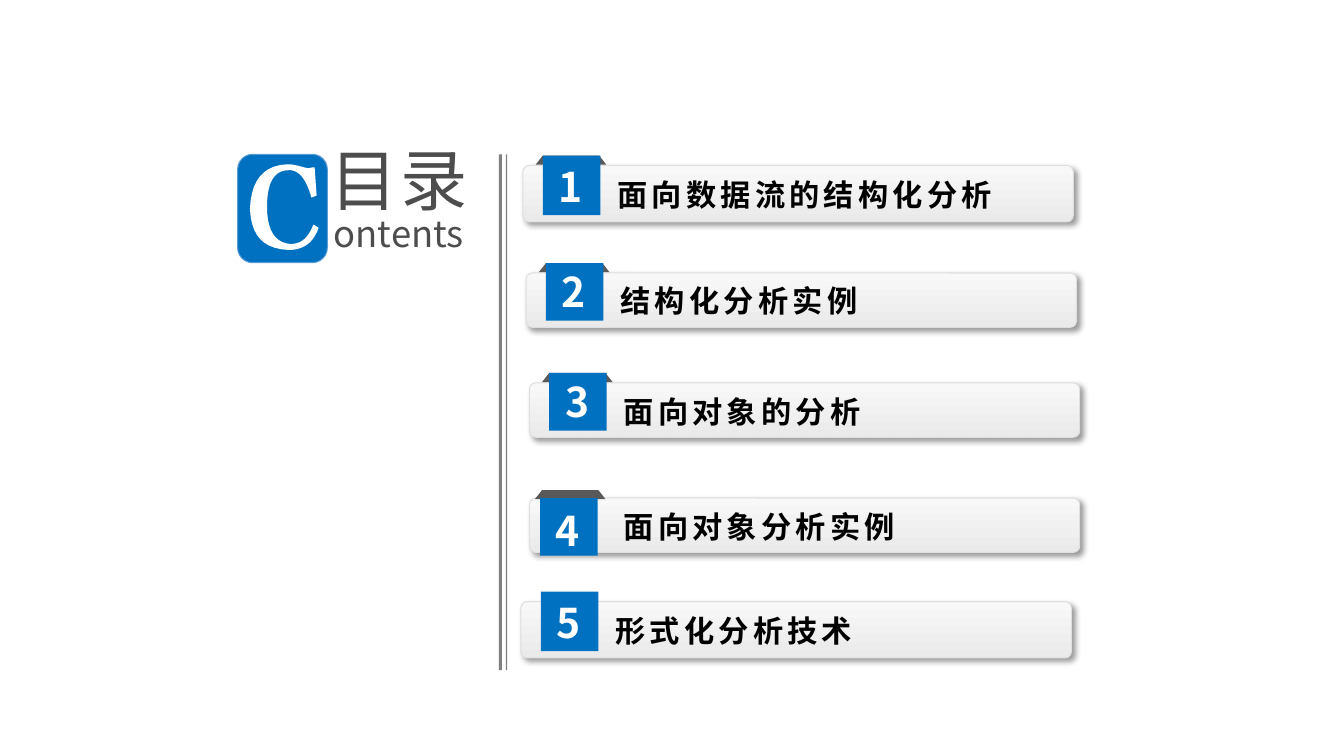
from lxml.etree import SubElement
from pptx import Presentation
from pptx.dml.color import RGBColor
from pptx.enum.shapes import MSO_SHAPE
from pptx.enum.text import MSO_AUTO_SIZE
from pptx.oxml import parse_xml
from pptx.oxml.ns import nsdecls, qn
from pptx.util import Cm, Pt

FONT = "Noto Sans CJK SC"
BLUE, GREY, DARK = "0070C0", "595959", "4D4D4D"

ROWS = [
    ("面向数据流的结构化分析", 13.18, 4.17, 1.42, 10.97),
    ("结构化分析实例", 13.26, 6.88, 1.37, 11.3),
    ("面向对象的分析", 13.34, 9.65, 1.37, 6.58),
    ("面向对象分析实例", 13.34, 12.55, 1.37, 9.37),
    ("形式化分析技术", 13.13, 15.16, 1.42, 10.97),
]
TAB_OFFSETS = [(0.5, -0.25), (0.5, -0.25), (0.5, -0.25), (0.27, 0), (0.5, -0.25)]
FOLD_OFFSETS = [(-0.18, 0), (-0.18, 0), (-0.18, 0), (-0.13, -0.2), None]
NUMBER_DROPS = [0.05, 0, 0, 0.08, 0.05]
TITLE_DROPS = [0.17, 0.13, 0.15, 0.17, 0.17]

INITIAL_C = [
    [(1.68, 0.79)], [(1.63, 0.08)], [(1.57, 0.08)], [(1.47, 0.1)], [(1.37, 0.08)],
    [(1.19, 0.03), (1.07, 0), (0.94, 0)],
    [(0.33, 0.03), (0.03, 0.41), (0, 1.12)],
    [(0.03, 1.8), (0.33, 2.13), (0.97, 2.16)],
    [(1.35, 2.16), (1.6, 1.98), (1.73, 1.6)],
    [(1.6, 1.52)],
    [(1.47, 1.85), (1.3, 2.01), (1.02, 2.01)],
    [(0.64, 1.98), (0.43, 1.68), (0.43, 1.07)],
    [(0.43, 0.46), (0.61, 0.15), (0.97, 0.15)],
    [(1.22, 0.13), (1.42, 0.36), (1.55, 0.84)],
]


def rgb(value):
    return RGBColor.from_string(value)


def flatten(segments, steps=10):
    points = []
    for segment in segments:
        if len(segment) == 1:
            points += segment
            continue
        controls = [points[-1]] + segment
        for i in range(1, steps + 1):
            t = i / steps
            weights = ((1 - t) ** 3, 3 * t * (1 - t) ** 2, 3 * t * t * (1 - t), t ** 3)
            points.append(tuple(sum(w * c[k] for w, c in zip(weights, controls)) for k in (0, 1)))
    return points


class Deck:
    def __init__(self):
        self.prs = Presentation()
        self.prs.slide_width, self.prs.slide_height = Cm(33.87), Cm(19.05)
        self.s = self.prs.slides.add_slide(self.prs.slide_layouts[6])

    def paint(self, sp, fill, line=None, width=0):
        sp.shadow.inherit = False
        sp.fill.solid()
        sp.fill.fore_color.rgb = rgb(fill)
        if line:
            sp.line.color.rgb = rgb(line)
            sp.line.width = Pt(width)
        else:
            sp.line.fill.background()
        return sp

    def box(self, x, y, w, h, fill, kind=MSO_SHAPE.RECTANGLE, line=None, width=0):
        sp = self.s.shapes.add_shape(kind, Cm(x), Cm(y), Cm(w), Cm(h))
        return self.paint(sp, fill, line, width)

    def outline(self, x, y, points, fill):
        start, *rest = [(Cm(x + dx), Cm(y + dy)) for dx, dy in points]
        builder = self.s.shapes.build_freeform(*start)
        builder.add_line_segments(rest, close=True)
        return self.paint(builder.convert_to_shape(), fill)

    def bar(self, x, y, w, h):
        sp = self.box(x, y, w, h, "F8F8F8", MSO_SHAPE.ROUNDED_RECTANGLE, "DFDFE1")
        sp.adjustments[0] = 0.16 / h
        sp.fill.gradient()
        sp.fill.gradient_angle = 270
        for stop, position, color in zip(sp.fill.gradient_stops, (0, 1), ("F8F8F8", "EAEAEA")):
            stop.position = position
            stop.color.rgb = rgb(color)
        effects = sp._element.spPr.find(qn("a:effectLst"))
        effects.append(parse_xml(
            f'<a:outerShdw {nsdecls("a")} blurRad="{Pt(4)}" dist="{Pt(3)}" dir="2700000" '
            'algn="tl" rotWithShape="0"><a:srgbClr val="000000">'
            '<a:alpha val="40000"/></a:srgbClr></a:outerShdw>'))

    def text(self, x, y, w, h, words, size, color, bold=False, spacing=0):
        tf = self.s.shapes.add_textbox(Cm(x), Cm(y), Cm(w), Cm(h)).text_frame
        tf.word_wrap = True
        tf.auto_size = MSO_AUTO_SIZE.SHAPE_TO_FIT_TEXT
        tf.margin_left = tf.margin_right = Cm(0.2)
        tf.margin_top = tf.margin_bottom = Cm(0.1)
        r = tf.paragraphs[0].add_run()
        r.text = words
        r.font.size, r.font.bold, r.font.name = Pt(size), bold, FONT
        r.font.color.rgb = rgb(color)
        rPr = r._r.get_or_add_rPr()
        rPr.set("spc", str(spacing * 100))
        SubElement(rPr, qn("a:ea")).set("typeface", FONT)


def add_heading(deck):
    deck.box(5.99, 3.89, 2.26, 2.73, BLUE, MSO_SHAPE.ROUNDED_RECTANGLE, "5B9BD5", 0.75)
    deck.outline(6.3, 4.14, flatten(INITIAL_C), "FFFFFF")
    deck.text(8.21, 5.22, 3.9, 1.53, "ontents", 26, DARK)
    deck.text(8.14, 3.39, 4.2, 2.65, "目录", 48, DARK, spacing=2)
    for x, w in ((12.57, 0.08), (12.75, 0.03)):
        deck.box(x, 3.89, w, 13, "808080")


def add_rows(deck):
    details = zip(ROWS, TAB_OFFSETS, FOLD_OFFSETS, NUMBER_DROPS, TITLE_DROPS)
    for number, (row, tab, fold, number_drop, title_drop) in enumerate(details, 1):
        title, x, y, h, title_width = row
        tab_x, tab_y = x + tab[0], y + tab[1]
        deck.bar(x, y, 13.87, h)
        if fold:
            deck.outline(tab_x + fold[0], tab_y + fold[1],
                         [(0.18, 0), (1.6, 0), (1.78, 0.23), (0, 0.23)], GREY)
        deck.box(tab_x, tab_y, 1.45, h + 0.08, BLUE)
        deck.text(x + 2.18, y + title_drop, title_width, 1.14, title, 21.6, "000000", True, 3)
        deck.text(tab_x + 0.2, tab_y + number_drop, 1.07, 1.45, str(number), 29.2, "FFFFFF", True)


def main():
    deck = Deck()
    add_heading(deck)
    add_rows(deck)
    deck.prs.save("out.pptx")


if __name__ == "__main__":
    main()
